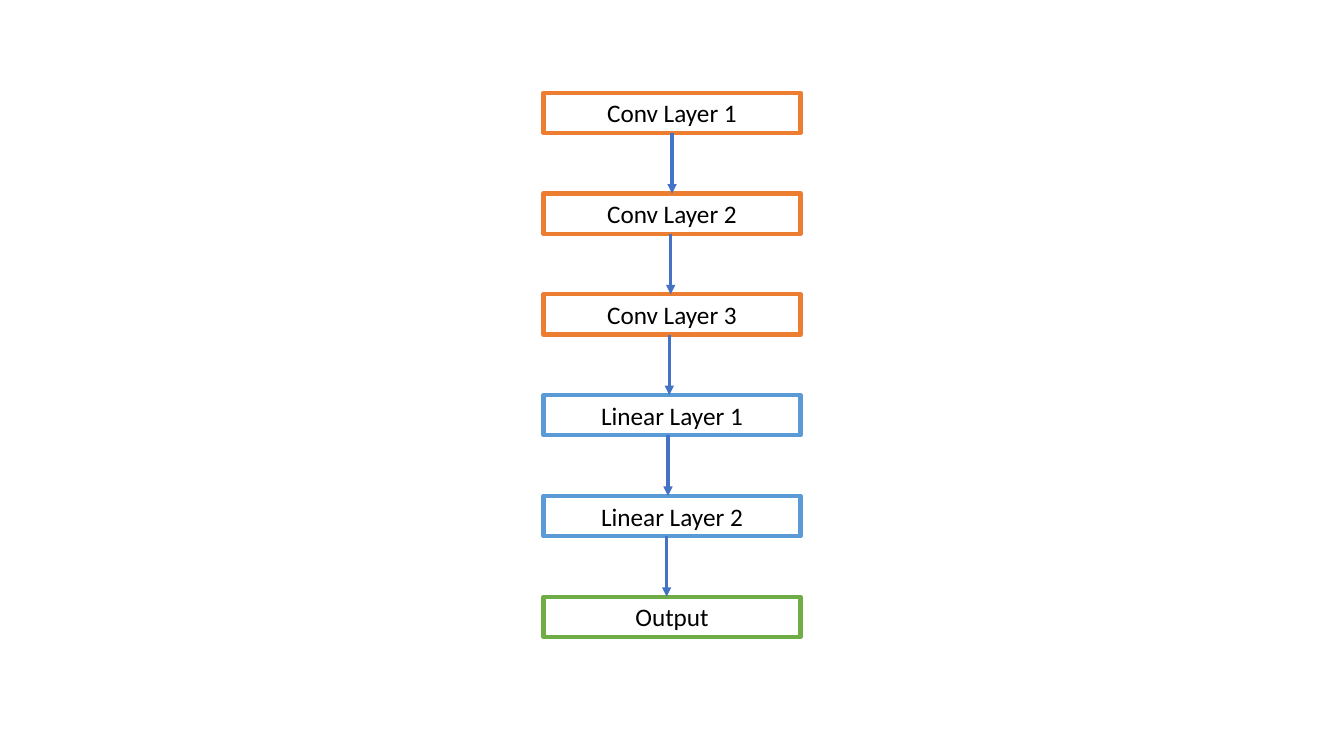
"""Draw a vertical flow of network layers joined by arrows."""
from dataclasses import dataclass

from lxml.etree import SubElement
from pptx import Presentation
from pptx.dml.color import RGBColor
from pptx.enum.shapes import MSO_CONNECTOR, MSO_SHAPE
from pptx.enum.text import MSO_ANCHOR, MSO_AUTO_SIZE, PP_ALIGN
from pptx.oxml.ns import qn
from pptx.slide import Slide
from pptx.util import Inches, Pt

ORANGE = RGBColor(0xED, 0x7D, 0x31)
BLUE = RGBColor(0x5B, 0x9B, 0xD5)
GREEN = RGBColor(0x70, 0xAD, 0x47)
ARROW_BLUE = RGBColor(0x44, 0x72, 0xC4)
BLACK = RGBColor(0, 0, 0)

SLIDE_WIDTH, SLIDE_HEIGHT = 13.33, 7.5
BOX_WIDTH, BOX_HEIGHT = 2.55, 0.4
BOX_LEFT = (SLIDE_WIDTH - BOX_WIDTH) / 2
FIRST_ROW_TOP = 0.92
ROW_PITCH = SLIDE_HEIGHT * 2 / 15
ARROW_DRIFT = SLIDE_WIDTH / 1000


@dataclass(frozen=True)
class Layer:
    name: str
    color: RGBColor


LAYERS = [
    Layer("Conv Layer 1", ORANGE),
    Layer("Conv Layer 2", ORANGE),
    Layer("Conv Layer 3", ORANGE),
    Layer("Linear Layer 1", BLUE),
    Layer("Linear Layer 2", BLUE),
    Layer("Output", GREEN),
]


def row_top(row: int) -> float:
    return FIRST_ROW_TOP + row * ROW_PITCH


def draw_layer(slide: Slide, layer: Layer, row: int) -> None:
    shape = slide.shapes.add_shape(
        MSO_SHAPE.RECTANGLE,
        Inches(BOX_LEFT), Inches(row_top(row)), Inches(BOX_WIDTH), Inches(BOX_HEIGHT),
    )
    shape.shadow.inherit = False
    shape.fill.background()
    shape.line.color.rgb = layer.color
    shape.line.width = Pt(3)
    frame = shape.text_frame
    frame.word_wrap = True
    frame.auto_size = MSO_AUTO_SIZE.SHAPE_TO_FIT_TEXT
    frame.vertical_anchor = MSO_ANCHOR.TOP
    paragraph = frame.paragraphs[0]
    paragraph.alignment = PP_ALIGN.CENTER
    run = paragraph.add_run()
    run.text = layer.name
    run.font.name = "Calibri"
    run.font.size = Pt(18)
    run.font.color.rgb = BLACK


def draw_arrow(slide: Slide, row: int) -> None:
    center = Inches(SLIDE_WIDTH / 2 - row * ARROW_DRIFT)
    connector = slide.shapes.add_connector(
        MSO_CONNECTOR.STRAIGHT,
        center, Inches(row_top(row) + BOX_HEIGHT), center, Inches(row_top(row + 1)),
    )
    connector.line.color.rgb = ARROW_BLUE
    connector.line.width = Pt(2.25)
    properties = connector._element.spPr
    SubElement(properties.find(qn("a:ln")), qn("a:tailEnd"), type="triangle")
    SubElement(properties, qn("a:effectLst"))


def main() -> None:
    presentation = Presentation()
    presentation.slide_width = Inches(SLIDE_WIDTH)
    presentation.slide_height = Inches(SLIDE_HEIGHT)
    slide = presentation.slides.add_slide(presentation.slide_layouts[6])
    for row, layer in enumerate(LAYERS):
        draw_layer(slide, layer, row)
    for row in range(len(LAYERS) - 1):
        draw_arrow(slide, row)
    presentation.save("out.pptx")


main()
